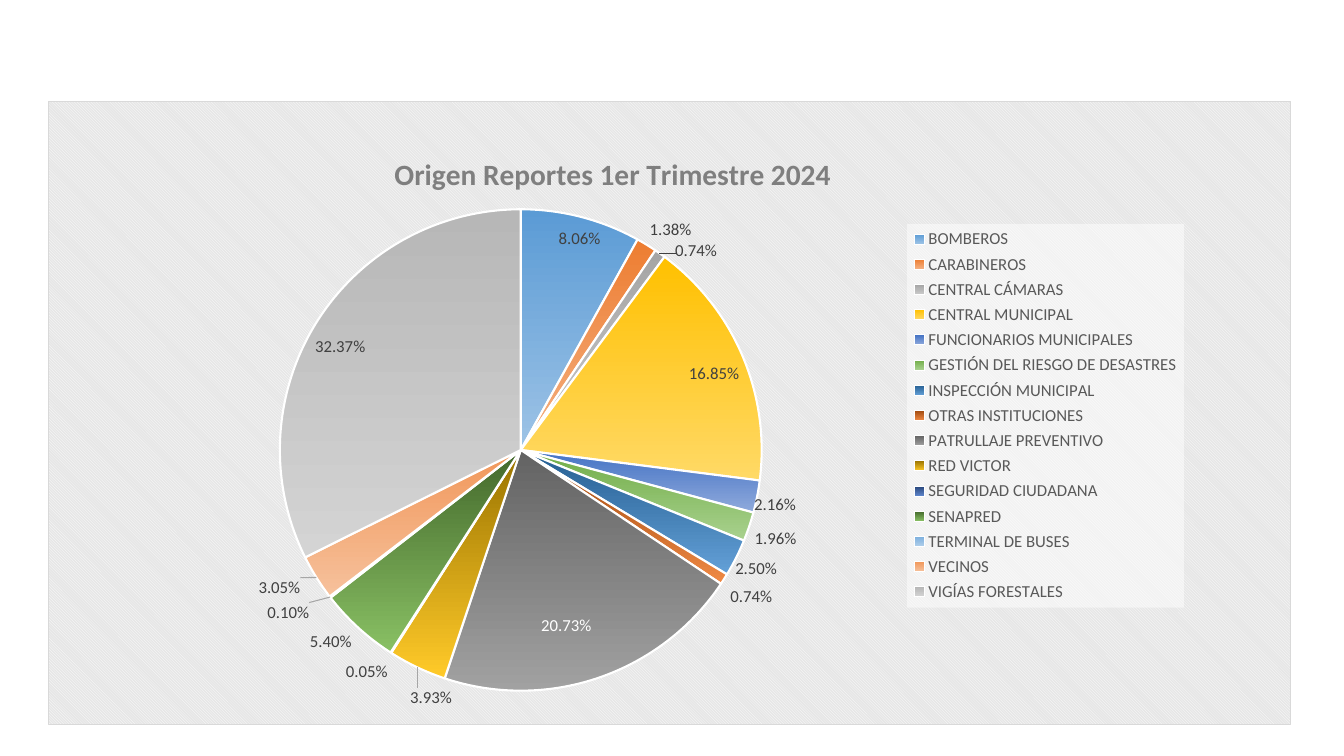
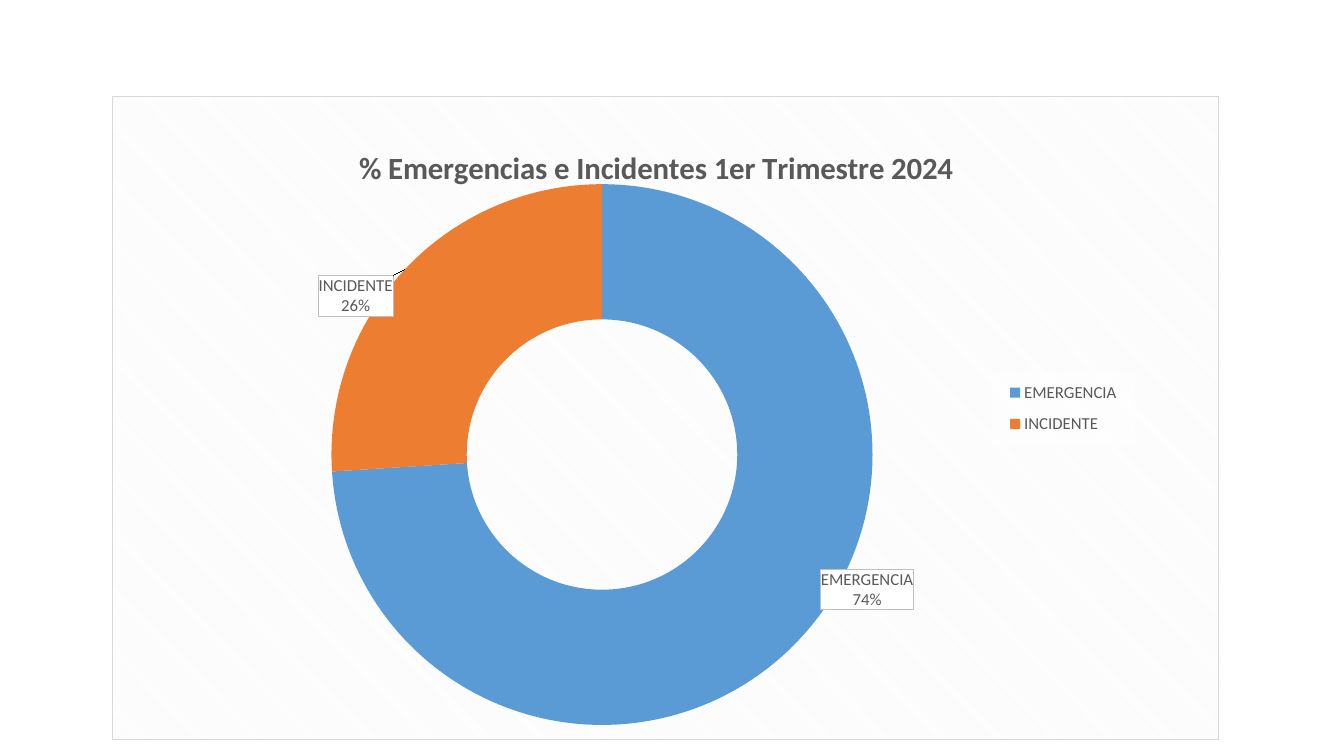
from dataclasses import dataclass

from pptx import Presentation
from pptx.chart.data import CategoryChartData
from pptx.dml.color import RGBColor
from pptx.enum.chart import XL_CHART_TYPE, XL_LABEL_POSITION, XL_LEGEND_POSITION
from pptx.oxml import parse_xml
from pptx.oxml.ns import nsdecls, qn
from pptx.util import Cm, Pt

PIE = XL_CHART_TYPE.PIE
DOUGHNUT = XL_CHART_TYPE.DOUGHNUT
BEST_FIT = XL_LABEL_POSITION.BEST_FIT
RIGHT = XL_LEGEND_POSITION.RIGHT
BLANK = 6


@dataclass(frozen=True)
class Theme:
    font: str = "Calibri"
    white: str = "FFFFFF"
    border: str = "D9D9D9"
    label_border: str = "BFBFBF"
    leader: str = "A6A6A6"
    text: str = "595959"
    dark_text: str = "404040"
    soft_title: str = "7F7F7F"
    stripe_base: str = "E6E6E6"
    pale_stripe: str = "F2F2F2"
    blue: str = "5B9BD5"
    orange: str = "ED7D31"
    base_size: float = 10
    label_size: float = 12
    report_title_size: float = 21
    share_title_size: float = 22


THEME = Theme()

# Source of the report, share, gradient from top to bottom
REPORTS = [
    ("BOMBEROS", 0.0806, "5B9BD5", "9DC3E6"),
    ("CARABINEROS", 0.0138, "ED7D31", "F4B183"),
    ("CENTRAL CÁMARAS", 0.0074, "A5A5A5", "C9C9C9"),
    ("CENTRAL MUNICIPAL", 0.1685, "FFC000", "FFD966"),
    ("FUNCIONARIOS MUNICIPALES", 0.0216, "4472C4", "8FAADC"),
    ("GESTIÓN DEL RIESGO DE DESASTRES", 0.0196, "70AD47", "A9D18E"),
    ("INSPECCIÓN MUNICIPAL", 0.025, "255E91", "63A0D7"),
    ("OTRAS INSTITUCIONES", 0.0074, "9E480E", "EF8944"),
    ("PATRULLAJE PREVENTIVO", 0.2073, "636363", "A1A1A1"),
    ("RED VICTOR", 0.0393, "997300", "FFCA29"),
    ("SEGURIDAD CIUDADANA", 0.0005, "264478", "5F86CC"),
    ("SENAPRED", 0.054, "43682B", "89C064"),
    ("TERMINAL DE BUSES", 0.001, "7CAFDD", "B0CFEB"),
    ("VECINOS", 0.0305, "F1975A", "F6C19C"),
    ("VIGÍAS FORESTALES", 0.3237, "B7B7B7", "D4D4D4"),
]
# Label shifts in percent of the chart, by slice
REPORT_SHIFTS = {
    4: (-0.7, -0.5), 6: (-0.5, -0.3), 7: (0.1, 0.8), 8: (-4.8, -10.8),
    9: (3, 2.4), 10: (0, 0.6), 11: (-0.2, 0), 12: (-1.3, 0.3),
    13: (-0.9, -0.5),
}
SHARES = [("EMERGENCIA", 74, THEME.blue), ("INCIDENTE", 26, THEME.orange)]
SHARE_SHIFTS = {0: (10.6, -0.6), 1: (-8.9, -3.1)}


def solid(color, alpha=100):
    return (f'<a:solidFill><a:srgbClr val="{color}">'
            f'<a:alpha val="{alpha * 1000}"/></a:srgbClr></a:solidFill>')


def outline(color):
    return f'<a:ln w="{Pt(0.75)}">{solid(color)}</a:ln>'


def set_shape_properties(owner, content):
    """Give a chart part with text properties its fill and line."""
    owner.find(qn("c:txPr")).addprevious(
        parse_xml(f'<c:spPr {nsdecls("c", "a")}>{content}</c:spPr>'))


def set_layout(owner, index, box, modes="", target=""):
    """Place a chart part by a box in percent of the chart."""
    for old_layout in owner.findall(qn("c:layout")):
        owner.remove(old_layout)
    values = "".join(f'<c:{side} val="{percent / 100:.4f}"/>'
                     for side, percent in zip("xywh", box))
    owner.insert(index, parse_xml(
        f'<c:layout {nsdecls("c")}><c:manualLayout>{target}{modes}{values}'
        '</c:manualLayout></c:layout>'))


EDGE = '<c:xMode val="edge"/><c:yMode val="edge"/>'
INNER = '<c:layoutTarget val="inner"/>'


class Deck:
    def __init__(self, theme):
        self.theme = theme
        self.presentation = Presentation()
        self.presentation.slide_width = Cm(33.87)
        self.presentation.slide_height = Cm(19.05)
        self.slide = None

    def new_slide(self):
        layout = self.presentation.slide_layouts[BLANK]
        self.slide = self.presentation.slides.add_slide(layout)

    def style(self, font, size, color, bold=False):
        font.name = self.theme.font
        font.size = Pt(size)
        font.bold = bold
        font.color.rgb = RGBColor.from_string(color)

    def chart(self, kind, frame, names, values, number_format, stripes, plot_box):
        """Add a chart on a striped panel; stripes are front and back colours."""
        data = CategoryChartData(number_format=number_format)
        data.categories = names
        data.add_series("Series 1", values)
        chart = self.slide.shapes.add_chart(
            kind, *(Cm(length) for length in frame), data).chart
        self.style(chart.font, self.theme.base_size, "000000")
        chart.plots[0].vary_by_categories = True
        front, back = (f'<a:srgbClr val="{color}"/>' for color in stripes)
        set_shape_properties(
            chart.element,
            f'<a:pattFill prst="dkDnDiag"><a:fgClr>{front}</a:fgClr>'
            f'<a:bgClr>{back}</a:bgClr></a:pattFill>'
            + outline(self.theme.border))
        set_layout(chart.element.xpath(".//c:plotArea")[0], 0, plot_box, EDGE, INNER)
        return chart

    def title(self, chart, text, corner, size, color):
        chart.has_title = True
        paragraph = chart.chart_title.text_frame.paragraphs[0]
        paragraph.text = text
        self.style(paragraph.font, size, color, bold=True)
        set_layout(chart.element.xpath("./c:chart/c:title")[0], 1, corner, EDGE)

    def legend(self, chart, box):
        chart.has_legend = True
        chart.legend.position = RIGHT
        chart.legend.include_in_layout = False
        self.style(chart.legend.font, self.theme.label_size, self.theme.text)
        legend = chart.element.xpath(".//c:legend")[0]
        set_shape_properties(legend, solid(self.theme.white, 50))
        set_layout(legend, 1, box, EDGE)

    def labels(self, chart, color, shifts, number_format, position=None):
        series = chart.plots[0].series[0]
        shared = series.data_labels
        shared.show_value = True
        shared.number_format = number_format
        shared.number_format_is_linked = False
        self.style(shared.font, self.theme.label_size, color)
        if position is not None:
            shared.position = position
        for index, shift in shifts.items():
            label = series.points[index].data_label
            self.style(label.font, self.theme.label_size, color)
            if position is not None:
                label.position = position
            element = chart.element.xpath(f'.//c:dLbl[c:idx/@val="{index}"]')[0]
            set_layout(element, 1, shift)

    def leader_lines(self, chart):
        for switch in chart.element.xpath(".//c:ser//c:showLeaderLines"):
            switch.addnext(parse_xml(
                f'<c:leaderLines {nsdecls("c", "a")}><c:spPr>'
                f'{outline(self.theme.leader)}</c:spPr></c:leaderLines>'))

    def name_and_percent(self, chart):
        """Turn value labels into boxed labels of category and percentage."""
        series = chart.element.xpath(".//c:ser")[0]
        for tag, shown in (("showVal", 0), ("showCatName", 1), ("showPercent", 1)):
            for flag in series.xpath(f".//c:{tag}"):
                flag.set("val", str(shown))
        for last_flag in series.xpath(".//c:showBubbleSize"):
            last_flag.addnext(parse_xml(
                f'<c:separator {nsdecls("c")}>\n</c:separator>'))
        for label in series.xpath(".//c:dLbl"):
            set_shape_properties(
                label, solid(self.theme.white) + outline(self.theme.label_border))

    def report_origins(self):
        self.new_slide()
        names, values, tops, bottoms = zip(*REPORTS)
        chart = self.chart(
            PIE, (1.22, 2.54, 31.32, 15.72), names, values, "0.00%",
            (self.theme.white, self.theme.stripe_base), (18.6, 17.3, 38.8, 77.4))
        self.title(chart, "Origen Reportes 1er Trimestre 2024", (27.4, 7.5),
                   self.theme.report_title_size, self.theme.soft_title)
        self.legend(chart, (69.1, 19.7, 22.3, 61.6))
        self.labels(chart, self.theme.dark_text, REPORT_SHIFTS, "0.00%", BEST_FIT)
        self.leader_lines(chart)
        points = chart.plots[0].series[0].points
        for index, gradient in enumerate(zip(tops, bottoms)):
            slice_format = points[index].format
            slice_format.fill.gradient()
            slice_format.fill.gradient_angle = 270
            for stop, color in zip(slice_format.fill.gradient_stops, gradient):
                stop.color.rgb = RGBColor.from_string(color)
            slice_format.line.width = Pt(1.5)
            slice_format.line.color.rgb = RGBColor.from_string(self.theme.white)
        patrol = names.index("PATRULLAJE PREVENTIVO")
        self.style(points[patrol].data_label.font,
                   self.theme.label_size, self.theme.white)

    def emergency_share(self):
        self.new_slide()
        names, values, colors = zip(*SHARES)
        chart = self.chart(
            DOUGHNUT, (2.82, 2.41, 27.91, 16.23), names, values, "General",
            (self.theme.pale_stripe, self.theme.white), (19.8, 13.7, 48.9, 84.1))
        self.title(chart, "% Emergencias e Incidentes 1er Trimestre 2024",
                   (21.8, 7), self.theme.share_title_size, self.theme.text)
        self.legend(chart, (79.5, 42.8, 12.9, 11.5))
        self.labels(chart, self.theme.text, SHARE_SHIFTS, "0%")
        self.name_and_percent(chart)
        chart.element.xpath(".//c:holeSize")[0].set("val", "70")
        for index, color in enumerate(colors):
            part_format = chart.plots[0].series[0].points[index].format
            part_format.fill.solid()
            part_format.fill.fore_color.rgb = RGBColor.from_string(color)
            part_format.line.fill.background()


def main():
    deck = Deck(THEME)
    deck.report_origins()
    deck.emergency_share()
    deck.presentation.save("out.pptx")


if __name__ == "__main__":
    main()
